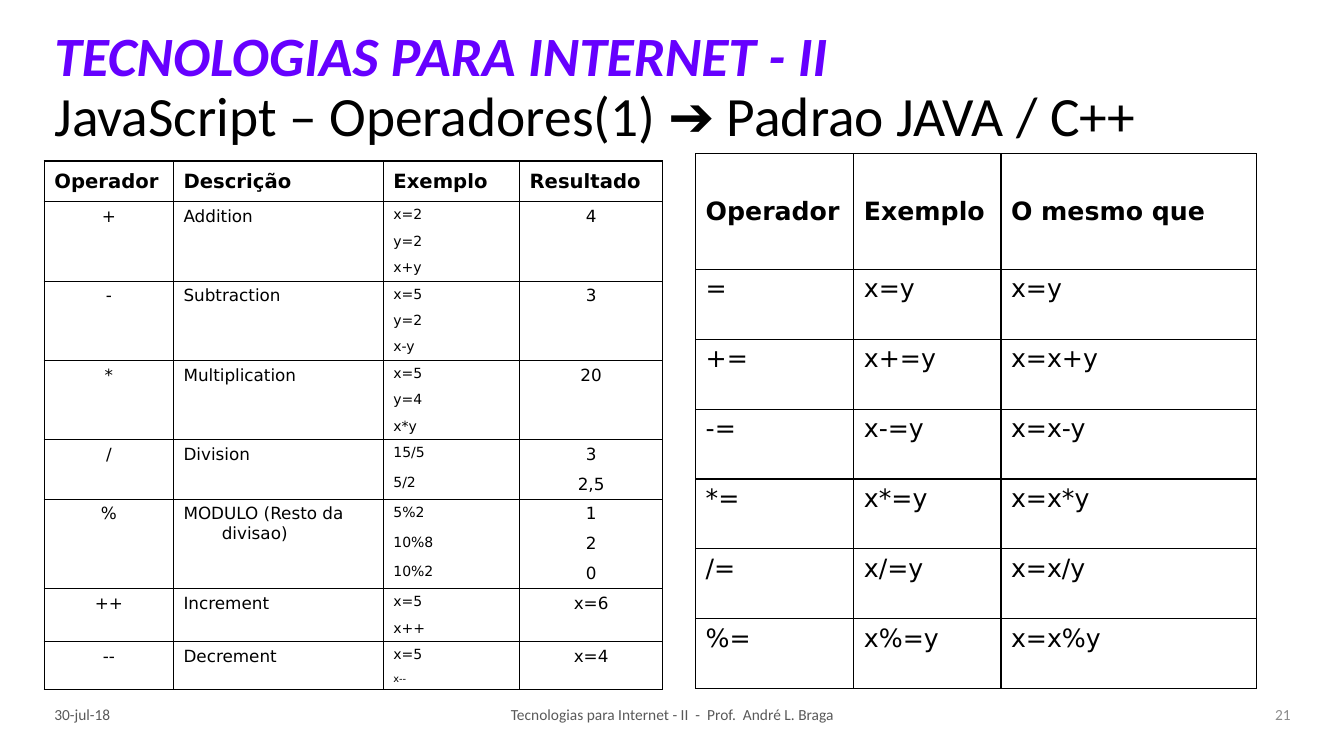
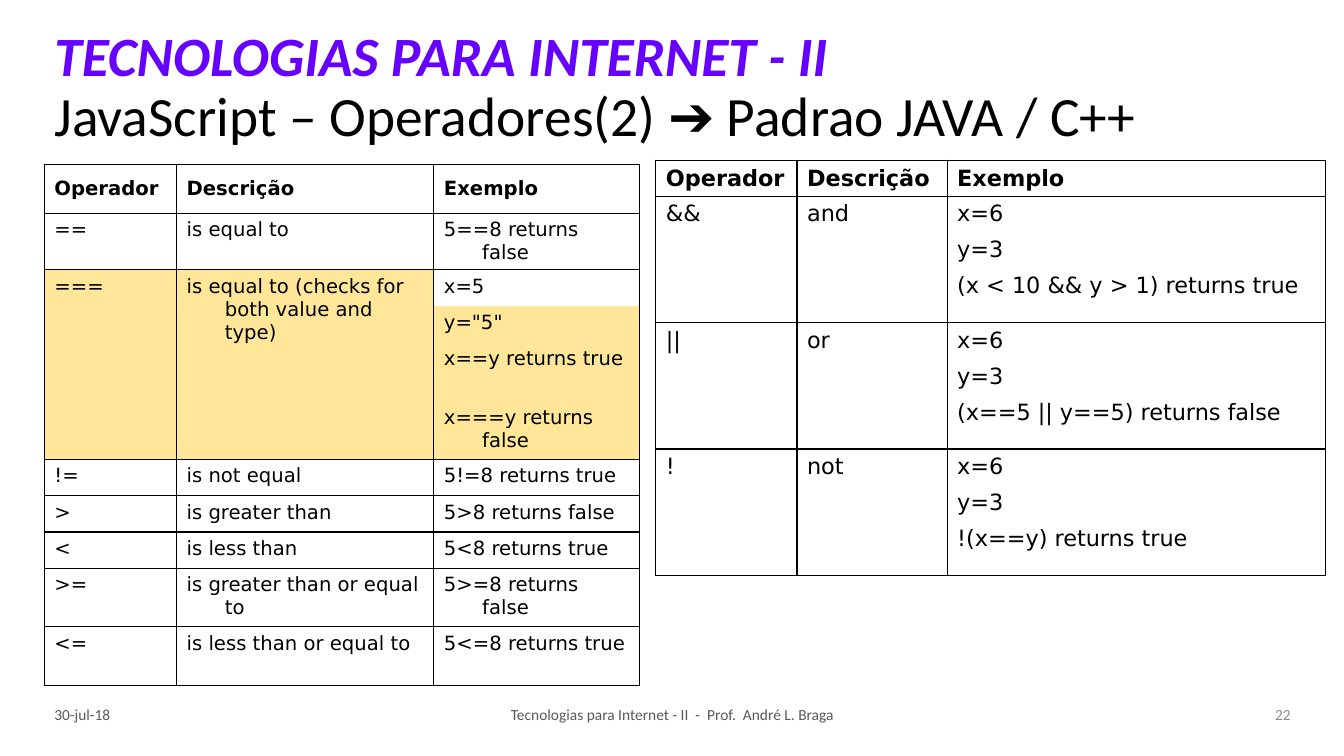
from dataclasses import dataclass, field

from lxml.etree import SubElement
from pptx import Presentation
from pptx.dml.color import RGBColor
from pptx.enum.text import MSO_ANCHOR as Anchor, MSO_AUTO_SIZE as AutoSize, PP_ALIGN as Align
from pptx.oxml.ns import qn
from pptx.util import Inches, Pt

COLORS = {"ink": "000000", "paper": "FFFFFF", "purple": "6600FF",
          "yellow": "FFE699", "footer": "595959", "number": "8C8C8C"}
TITLE_FONT, TABLE_FONT = "Calibri", "DejaVu Sans"
WIDTH, HEIGHT = Inches(13.33), Inches(7.5)
HANGING = Inches(0.38)
TITLE_BOX = (3.3, 3.33, 93.4, 16.67)
FOOTER_TOP, FOOTER_HEIGHT = 91.07, 6.93


@dataclass
class Grid:
    """Operator table: box corner and width in percent, column weights, row heights, text."""
    corner: tuple
    width: float
    columns: list
    heights: list
    header: list
    groups: list
    size: float
    column_sizes: dict = field(default_factory=dict)
    special_sizes: dict = field(default_factory=dict)
    centered: tuple = ()
    highlighted: set = field(default_factory=set)


def across(percent):
    """Turn a percentage of the slide width into a length."""
    return round(WIDTH * percent / 100)


def down(percent):
    """Turn a percentage of the slide height into a length."""
    return round(HEIGHT * percent / 100)


def place(box):
    """Turn a box in percent into left, top, width and height."""
    left, top, width, height = box
    return across(left), down(top), across(width), down(height)


def add_span(para, text, size, color, font=TITLE_FONT, bold=False, italic=False):
    """Add one formatted run to a paragraph."""
    span = para.add_run()
    span.text = text
    span.font.name, span.font.size = font, Pt(size)
    span.font.bold, span.font.italic = bold, italic
    span.font.color.rgb = RGBColor.from_string(COLORS[color])


def add_title(page, subject):
    """Fill the title placeholder with the course name and the subject."""
    title = page.shapes.title
    title.left, title.top, title.width, title.height = place(TITLE_BOX)
    frame = title.text_frame
    frame.word_wrap, frame.auto_size = True, AutoSize.NONE
    frame.vertical_anchor = Anchor.MIDDLE
    para = frame.paragraphs[0]
    para.alignment, para.line_spacing = Align.LEFT, 0.9
    add_span(para, "TECNOLOGIAS PARA INTERNET - II", 39.6, "purple", bold=True, italic=True)
    para.add_line_break()
    add_span(para, subject, 39.6, "ink")


def add_footer(page, number):
    """Place the date, the course line and the page number."""
    parts = [
        (3.3, 25.06, "30-jul-18", Align.LEFT, "footer"),
        (34.21, 31.66, "Tecnologias para Internet - II  -  Prof.  André L. Braga",
         Align.CENTER, "footer"),
        (71.72, 25.06, str(number), Align.RIGHT, "number"),
    ]
    for left, width, text, alignment, color in parts:
        box = page.shapes.add_textbox(*place((left, FOOTER_TOP, width, FOOTER_HEIGHT)))
        frame = box.text_frame
        frame.word_wrap, frame.vertical_anchor = True, Anchor.MIDDLE
        para = frame.paragraphs[0]
        para.alignment = alignment
        add_span(para, text, 11, color)


def set_borders(cell, sides):
    """Draw thin lines on the named sides of a cell and hide the others."""
    properties = cell._tc.get_or_add_tcPr()
    for side in "LRTB":
        line = SubElement(properties, qn(f"a:ln{side}"), w=str(Pt(1)))
        if side in sides:
            fill = SubElement(line, qn("a:solidFill"))
            SubElement(fill, qn("a:srgbClr"), val=COLORS["ink"])
        else:
            SubElement(line, qn("a:noFill"))


def style_cell(cell, sides, color):
    """Give a cell its borders and fill."""
    set_borders(cell, sides)
    cell.fill.solid()
    cell.fill.fore_color.rgb = RGBColor.from_string(COLORS[color])


def write_cell(cell, text, size, header=False, centered=False):
    """Write one hanging paragraph in a cell."""
    cell.vertical_anchor = Anchor.MIDDLE if header else Anchor.TOP
    para = cell.text_frame.paragraphs[0]
    para.alignment = Align.CENTER if centered else Align.LEFT
    properties = para._p.get_or_add_pPr()
    properties.set("marL", str(HANGING))
    properties.set("indent", str(-HANGING))
    add_span(para, text, size, "ink", TABLE_FONT, bold=header)


def add_group(table, grid, start, group):
    """Write one operator over its rows, merging single-line cells, and return its row count."""
    columns = [text.split("\n") for text in group]
    count = max(len(lines) for lines in columns)
    for column, lines in enumerate(columns):
        merged = len(lines) < count
        for step in range(count):
            row = start + step
            top = "T" if step == 0 else ""
            bottom = "B" if step == count - 1 else ""
            sides = "LRTB" if merged and step == 0 else "LR" + top + bottom
            color = "yellow" if (row, column) in grid.highlighted else "paper"
            style_cell(table.cell(row, column), sides, color)
        if merged:
            table.cell(start, column).merge(table.cell(start + count - 1, column))
        for step, text in enumerate(lines):
            size = grid.special_sizes.get(text, grid.column_sizes.get(column, grid.size))
            write_cell(table.cell(start + step, column), text, size,
                       centered=column in grid.centered)
    return count


def add_grid(page, grid):
    """Build an operator table from its grid."""
    box = place((*grid.corner, grid.width, sum(grid.heights)))
    table = page.shapes.add_table(len(grid.heights), len(grid.columns), *box).table
    table.first_row = table.horz_banding = False
    for column, weight in zip(table.columns, grid.columns):
        column.width = round(box[2] * weight / sum(grid.columns))
    for row, height in zip(table.rows, grid.heights):
        row.height = down(height)
    header_size = 14 if grid.size == 12 else grid.size
    for column, text in enumerate(grid.header):
        cell = table.cell(0, column)
        style_cell(cell, "LRTB", "paper")
        write_cell(cell, text, header_size, header=True)
    start = 1
    for group in grid.groups:
        start += add_group(table, grid, start, group)


def add_operator_page(deck, number, subject, grids):
    """Add a slide with title, operator tables and footer."""
    page = deck.slides.add_slide(deck.slide_layouts[5])
    add_title(page, subject)
    for grid in grids:
        add_grid(page, grid)
    add_footer(page, number)


ARITHMETIC = Grid(
    corner=(3.3, 21.3), width=46.02, columns=[1.28, 2.08, 1.35, 1.42],
    heights=[5.4] + [2.6] * 18,
    header=["Operador", "Descrição", "Exemplo", "Resultado"],
    groups=[
        ("+", "Addition", "x=2\ny=2\nx+y", "4"),
        ("-", "Subtraction", "x=5\ny=2\nx-y", "3"),
        ("*", "Multiplication", "x=5\ny=4\nx*y", "20"),
        ("/", "Division", "15/5\n5/2", "3\n2,5"),
        ("%", "MODULO (Resto da divisao)", "5%2\n10%8\n10%2", "1\n2\n0"),
        ("++", "Increment", "x=5\nx++", "x=6"),
        ("--", "Decrement", "x=5\nx--", "x=4"),
    ],
    size=12, column_sizes={2: 10}, special_sizes={"x--": 7}, centered=(0, 3))

ASSIGNMENT = Grid(
    corner=(51.76, 20.35), width=41.76, columns=[1.57, 1.46, 2.54],
    heights=[15.3] + [9.24] * 6,
    header=["Operador", "Exemplo", "O mesmo que"],
    groups=[("=", "x=y", "x=y")]
    + [(f"{sign}=", f"x{sign}=y", f"x=x{sign}y") for sign in "+-*/%"],
    size=18)

COMPARISON = Grid(
    corner=(3.3, 21.75), width=44.3, columns=[1.31, 2.55, 2.04],
    heights=[6.5, 6] + [4.8] * 2 + [7.75] * 2 + [4.8] * 3 + [7.75] * 2,
    header=["Operador", "Descrição", "Exemplo"],
    groups=[
        ("==", "is equal to", "5==8 returns false"),
        ("===", "is equal to (checks for both value and type)",
         'x=5\ny="5"\nx==y returns true\nx===y returns false'),
        ("!=", "is not equal", "5!=8 returns true"),
        (">", "is greater than", "5>8 returns false"),
        ("<", "is less than", "5<8 returns true"),
        (">=", "is greater than or equal to", "5>=8 returns false"),
        ("<=", "is less than or equal to", "5<=8 returns true"),
    ],
    size=14,
    highlighted={(row, column) for row in range(2, 6) for column in range(3)} - {(2, 2)})

LOGICAL = Grid(
    corner=(48.8, 21.2), width=49.8, columns=[1.4, 1.49, 3.75],
    heights=[4.4] + [4.4, 4.4, 7.2] * 3,
    header=["Operador", "Descrição", "Exemplo"],
    groups=[
        ("&&", "and", "x=6\ny=3\n(x < 10 && y > 1) returns true"),
        ("||", "or", "x=6\ny=3\n(x==5 || y==5) returns false"),
        ("!", "not", "x=6\ny=3\n!(x==y) returns true"),
    ],
    size=16)


def main():
    """Build and save the deck."""
    deck = Presentation()
    deck.slide_width, deck.slide_height = WIDTH, HEIGHT
    pages = [(ARITHMETIC, ASSIGNMENT), (COMPARISON, LOGICAL)]
    for part, grids in enumerate(pages, start=1):
        subject = f"JavaScript – Operadores({part}) ➔ Padrao JAVA / C++"
        add_operator_page(deck, 20 + part, subject, grids)
    deck.save("out.pptx")


if __name__ == "__main__":
    main()
